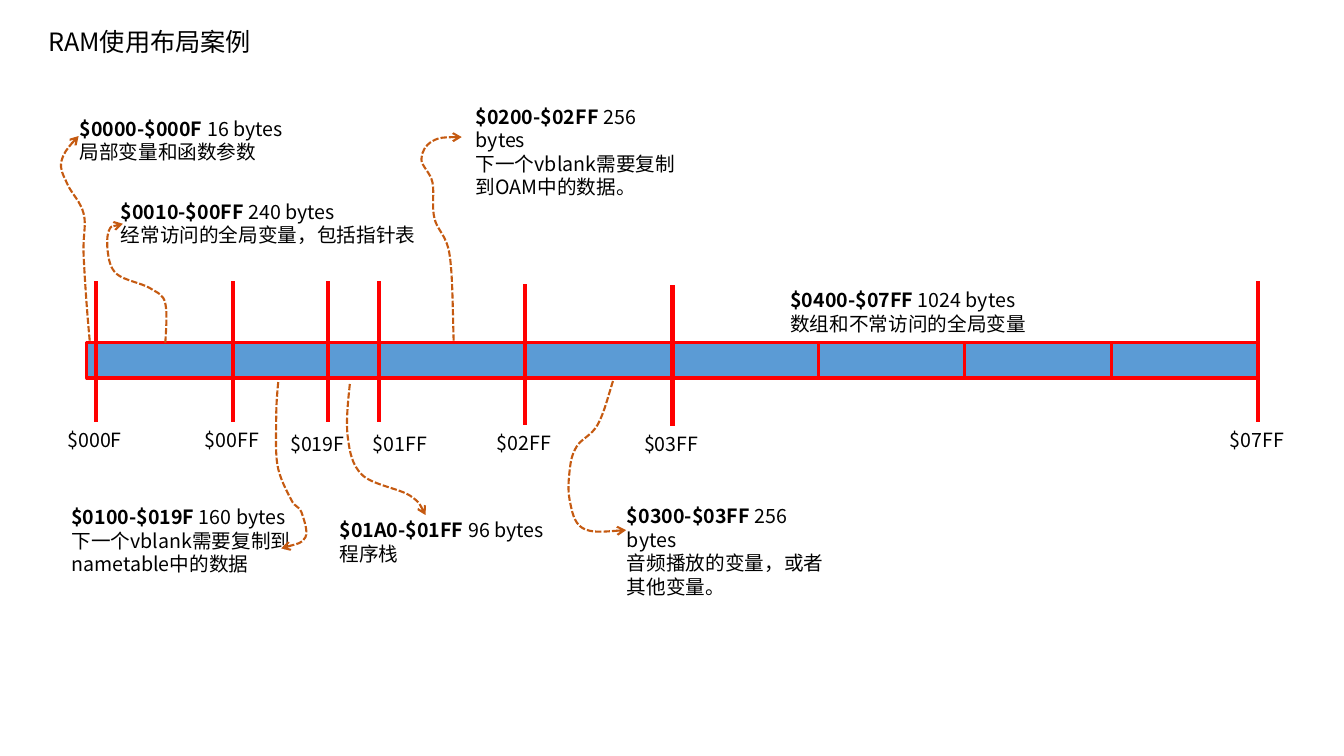
"""Draw a RAM layout: a bar of eight pages with address ticks and notes on each range."""
from dataclasses import dataclass
from typing import Any

import lxml.etree
import pptx
import pptx.dml.color
import pptx.enum.dml
import pptx.enum.shapes
import pptx.enum.text
import pptx.oxml.ns
import pptx.util

PX = 9144
BAR_LEFT, BAR_TOP, BAR_WIDTH, BAR_HEIGHT, PAGES = 86, 340, 1162, 35, 8
TICK_HEIGHT = 140
LABEL_WIDTH, LABEL_HEIGHT = 77, 34

Point = tuple[int, int]


@dataclass(frozen=True)
class Theme:
    font: str = "Noto Sans CJK SC"
    text: str = "000000"
    page: str = "5B9BD5"
    edge: str = "FF0000"
    arrow: str = "C55A11"
    title_pt: float = 18
    body_pt: float = 14
    page_line_pt: float = 2.25
    tick_line_pt: float = 3
    arrow_line_pt: float = 1.5


@dataclass(frozen=True)
class Tick:
    label: str
    x: int
    y: int = 279
    label_dx: int = -38
    label_gap: int = 1


@dataclass(frozen=True)
class Note:
    span: str
    size: str
    use: str
    left: int
    top: int
    width: int
    height: int = 57
    curve: tuple[Point, ...] = ()


THEME = Theme()


def px(n: int) -> pptx.util.Emu:
    return pptx.util.Emu(n * PX)


def rgb(value: str) -> pptx.dml.color.RGBColor:
    return pptx.dml.color.RGBColor.from_string(value)


def page_edge(i: int) -> int:
    return BAR_LEFT + BAR_WIDTH * i // PAGES


TICKS = [
    Tick("$000F", 95),
    Tick("$00FF", page_edge(1)),
    Tick("$019F", 325, label_dx=-47, label_gap=5),
    Tick("$01FF", page_edge(2), label_dx=-16, label_gap=5),
    Tick("$02FF", page_edge(3), y=282),
    Tick("$03FF", page_edge(4), y=283),
    Tick("$07FF", page_edge(PAGES)),
]

NOTES = [
    Note("$0000-$000F", "16 bytes", "局部变量和函数参数", 69, 111, 291,
         curve=((89, 338), (83, 254), (83, 212), (67, 183), (61, 160), (78, 135))),
    Note("$0010-$00FF", "240 bytes", "经常访问的全局变量，包括指针表", 110, 193, 327,
         curve=((164, 340), (164, 301), (149, 286), (116, 272), (107, 250), (108, 229),
                (122, 222))),
    Note("$0100-$019F", "160 bytes", "下一个vblank需要复制到nametable中的数据", 61, 496, 244, 81,
         curve=((276, 379), (274, 415), (275, 460), (289, 496), (299, 508), (303, 533),
                (279, 544))),
    Note("$01A0-$01FF", "96 bytes", "程序栈", 327, 509, 244,
         curve=((347, 381), (345, 434), (359, 471), (407, 492), (422, 511))),
    Note("$0200-$02FF", "256 bytes", "下一个vblank需要复制到OAM中的数据。", 462, 99, 224, 81,
         curve=((450, 338), (446, 253), (431, 217), (429, 181), (418, 158), (429, 140),
                (458, 136))),
    Note("$0300-$03FF", "256 bytes", "音频播放的变量，或者其他变量。", 612, 495, 224, 81,
         curve=((608, 378), (593, 421), (572, 443), (565, 467), (565, 496), (578, 524),
                (621, 526))),
    Note("$0400-$07FF", "1024 bytes", "数组和不常访问的全局变量", 774, 281, 422),
]


def child(parent: Any, tag: str, **attrs: str) -> Any:
    return lxml.etree.SubElement(parent, pptx.oxml.ns.qn(tag), attrs)


def set_line(line: Any, color: str, pt: float) -> None:
    line.color.rgb = rgb(color)
    line.width = pptx.util.Pt(pt)


def add_text(s: Any, text: str, box: tuple[int, int, int, int], *,
             pt: float = THEME.body_pt, lead: str = "") -> None:
    tf = s.shapes.add_textbox(*map(px, box)).text_frame
    tf.word_wrap = True
    tf.auto_size = pptx.enum.text.MSO_AUTO_SIZE.SHAPE_TO_FIT_TEXT
    for i, row in enumerate(text.split("\n")):
        p = tf.paragraphs[0] if i == 0 else tf.add_paragraph()
        runs = [(lead, True), (row, False)] if lead and i == 0 else [(row, False)]
        for content, bold in runs:
            r = p.add_run()
            r.text = content
            r.font.size = pptx.util.Pt(pt)
            r.font.bold = bold
            r.font.name = THEME.font
            r.font.color.rgb = rgb(THEME.text)
            child(r.font._element, "a:ea", typeface=THEME.font)


def add_page(s: Any, i: int) -> None:
    left = page_edge(i)
    box = (left, BAR_TOP, page_edge(i + 1) - left, BAR_HEIGHT)
    sp = s.shapes.add_shape(pptx.enum.shapes.MSO_SHAPE.RECTANGLE, *map(px, box))
    sp.shadow.inherit = False
    sp.fill.solid()
    sp.fill.fore_color.rgb = rgb(THEME.page)
    set_line(sp.line, THEME.edge, THEME.page_line_pt)


def add_tick(s: Any, tick: Tick) -> None:
    bottom = tick.y + TICK_HEIGHT
    ends = (tick.x, tick.y, tick.x, bottom)
    sp = s.shapes.add_connector(pptx.enum.shapes.MSO_CONNECTOR.STRAIGHT, *map(px, ends))
    set_line(sp.line, THEME.edge, THEME.tick_line_pt)
    child(sp._element.spPr, "a:effectLst")
    add_text(s, tick.label,
             (tick.x + tick.label_dx, bottom + tick.label_gap, LABEL_WIDTH, LABEL_HEIGHT))


def smooth(knots: tuple[Point, ...]) -> list[Point]:
    """Return the Bézier points of a smooth curve through the knots."""
    handles = [(round((c[0] - a[0]) / 6), round((c[1] - a[1]) / 6))
               for a, c in zip(knots, knots[2:])]
    leave = [(x + dx, y + dy) for (x, y), (dx, dy) in zip(knots[1:], handles)]
    reach = [(x - dx, y - dy) for (x, y), (dx, dy) in zip(knots[1:], handles)]
    leave.insert(0, midpoint(knots[0], reach[0]))
    reach.append(midpoint(knots[-1], leave[-1]))
    return [point for segment in zip(leave, reach, knots[1:]) for point in segment]


def midpoint(a: Point, b: Point) -> Point:
    return (a[0] + b[0]) // 2, (a[1] + b[1]) // 2


def add_curve(s: Any, knots: tuple[Point, ...]) -> None:
    builder = s.shapes.build_freeform(*knots[0], scale=PX)
    builder.add_line_segments(smooth(knots), close=False)
    sp = builder.convert_to_shape()
    sp.shadow.inherit = False
    sp.fill.background()
    set_line(sp.line, THEME.arrow, THEME.arrow_line_pt)
    sp.line.dash_style = pptx.enum.dml.MSO_LINE.SQUARE_DOT
    child(sp.line._ln, "a:tailEnd", type="arrow")
    segments = list(sp._element.iter(pptx.oxml.ns.qn("a:lnTo")))
    outline = segments[0].getparent()
    for i in range(0, len(segments), 3):
        bezier = child(outline, "a:cubicBezTo")
        for segment in segments[i:i + 3]:
            bezier.append(segment[0])
            outline.remove(segment)


def add_note(s: Any, note: Note) -> None:
    add_text(s, f"{note.size}\n{note.use}", (note.left, note.top, note.width, note.height),
             lead=f"{note.span} ")
    if note.curve:
        add_curve(s, note.curve)


def main() -> None:
    prs = pptx.Presentation()
    prs.slide_width, prs.slide_height = px(1333), px(750)
    s = prs.slides.add_slide(prs.slide_layouts[6])
    add_text(s, "RAM使用布局案例", (38, 21, 287, 40), pt=THEME.title_pt)
    for i in range(PAGES):
        add_page(s, i)
    for tick in TICKS:
        add_tick(s, tick)
    for note in NOTES:
        add_note(s, note)
    prs.save("out.pptx")


if __name__ == "__main__":
    main()
